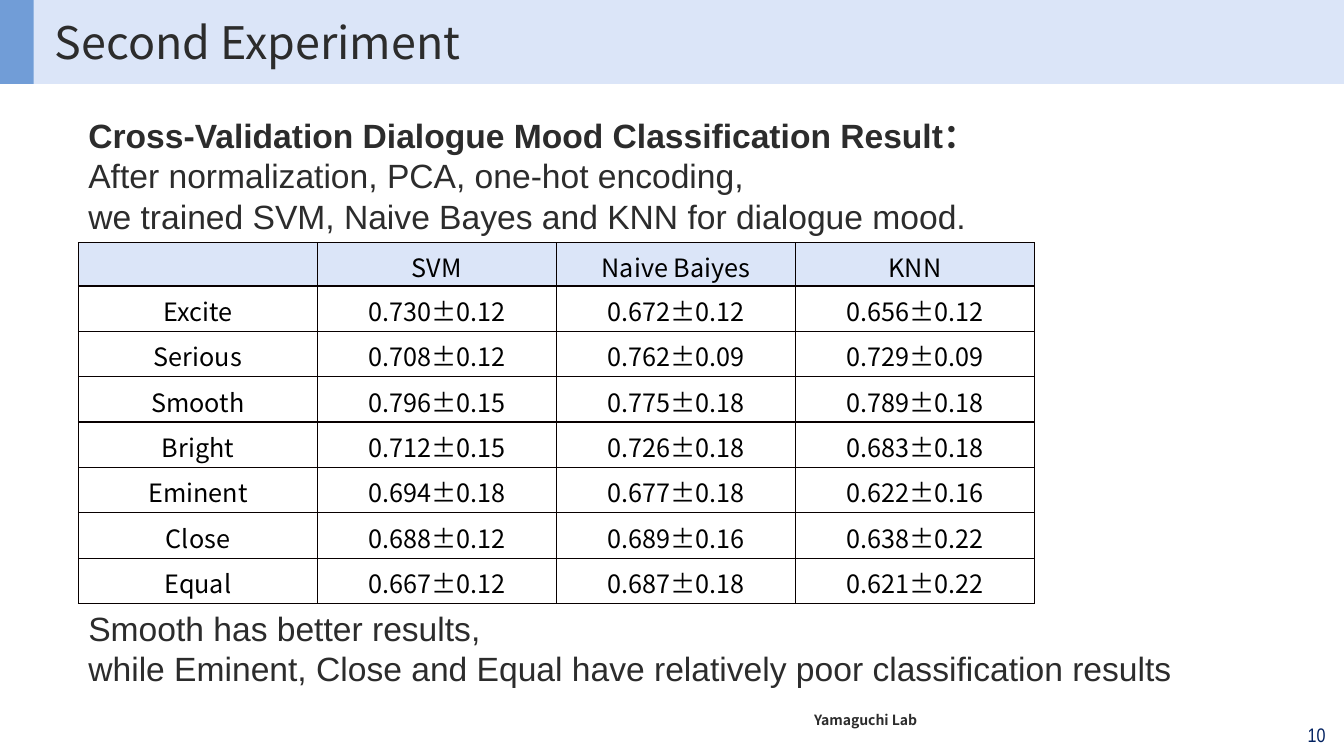
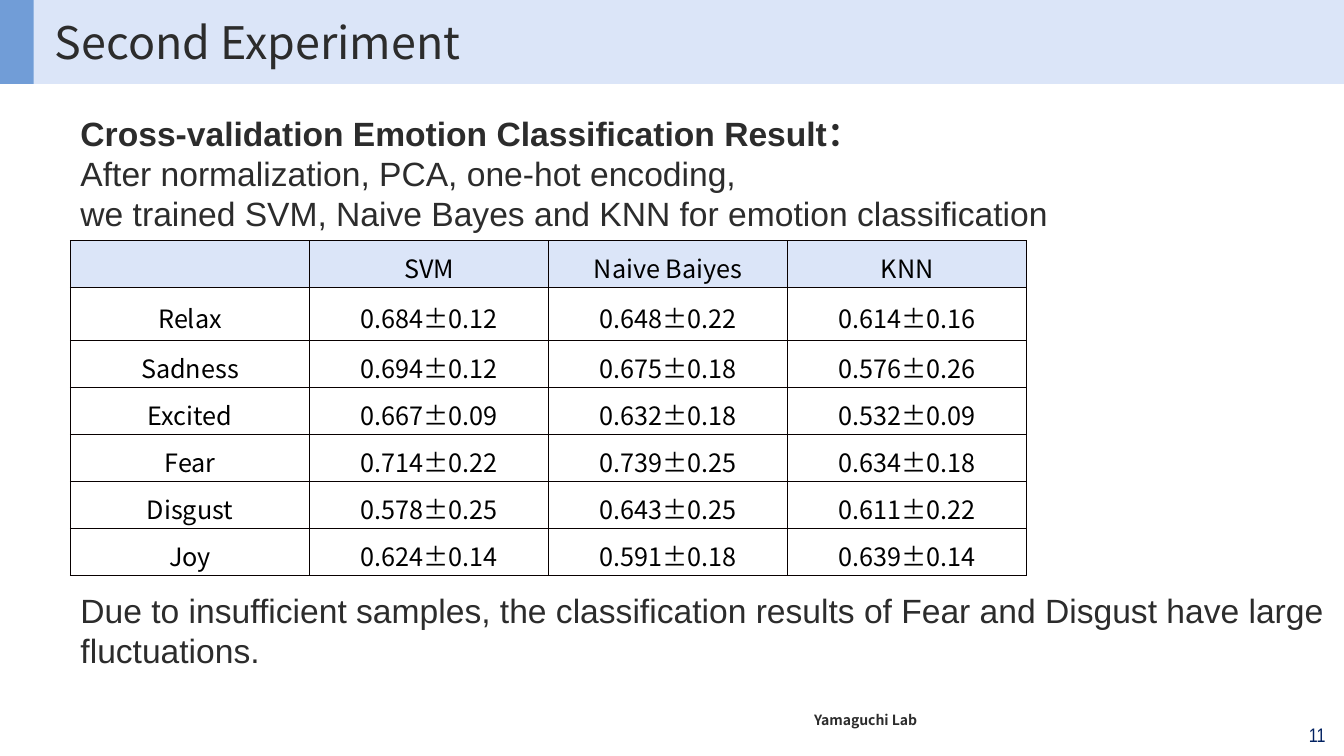
from lxml.etree import SubElement
from pptx import Presentation
from pptx.dml.color import RGBColor as Color
from pptx.enum.shapes import MSO_SHAPE as Shape
from pptx.enum.text import MSO_ANCHOR as Anchor, PP_ALIGN as Align
from pptx.oxml import parse_xml
from pptx.oxml.ns import nsdecls, qn
from pptx.util import Pt

# Shared look
COLORS = {
    "band": "DBE5F8",
    "accent": "719DD7",
    "text": "2C2C2C",
    "number": "002060",
    "cell": "000000",
    "border": "080000",
}
TITLE_FONT = "Noto Sans CJK JP"
TABLE_FONT = "Noto Sans CJK SC"
BODY_FONT = "Arial"
NUMBER_FONT = "Arial Narrow"
WIDTH, HEIGHT, BAND_HEIGHT = 960, 540, 60
COLUMN_WIDTH = 170.75
BODY_WIDTH = 903.6

# Slide contents
MODELS = ["", "SVM", "Naive Baiyes", "KNN"]
MOODS = [
    ["Excite", "0.730±0.12", "0.672±0.12", "0.656±0.12"],
    ["Serious", "0.708±0.12", "0.762±0.09", "0.729±0.09"],
    ["Smooth", "0.796±0.15", "0.775±0.18", "0.789±0.18"],
    ["Bright", "0.712±0.15", "0.726±0.18", "0.683±0.18"],
    ["Eminent", "0.694±0.18", "0.677±0.18", "0.622±0.16"],
    ["Close", "0.688±0.12", "0.689±0.16", "0.638±0.22"],
    ["Equal", "0.667±0.12", "0.687±0.18", "0.621±0.22"],
]
EMOTIONS = [
    ["Relax", "0.684±0.12", "0.648±0.22", "0.614±0.16"],
    ["Sadness", "0.694±0.12", "0.675±0.18", "0.576±0.26"],
    ["Excited", "0.667±0.09", "0.632±0.18", "0.532±0.09"],
    ["Fear", "0.714±0.22", "0.739±0.25", "0.634±0.18"],
    ["Disgust", "0.578±0.25", "0.643±0.25", "0.611±0.22"],
    ["Joy", "0.624±0.14", "0.591±0.18", "0.639±0.14"],
]


def add_span(para, text, font, size, color, bold=False):
    span = para.add_run()
    span.text = text
    span.font.name = font
    span.font.size = Pt(size)
    span.font.bold = bold
    span.font.color.rgb = Color.from_string(COLORS[color])
    # East Asian characters fall back to the table font beside Latin-only fonts
    east_asian = font if "CJK" in font else TABLE_FONT
    SubElement(span.font._element, qn("a:ea")).set("typeface", east_asian)


def add_text(page, left, top, width, height, lines, font, size,
             color="text", bold_lines=0, align=Align.LEFT, anchor=Anchor.TOP):
    box = page.shapes.add_textbox(Pt(left), Pt(top), Pt(width), Pt(height))
    frame = box.text_frame
    frame.word_wrap = True
    frame.vertical_anchor = anchor
    for index, line in enumerate(lines):
        para = frame.add_paragraph() if index else frame.paragraphs[0]
        para.alignment = align
        add_span(para, line, font, size, color, index < bold_lines)


def add_band(page, width, color):
    band = page.shapes.add_shape(Shape.RECTANGLE, 0, 0, Pt(width), Pt(BAND_HEIGHT))
    band.shadow.inherit = False
    band.fill.solid()
    band.fill.fore_color.rgb = Color.from_string(COLORS[color])
    band.line.fill.background()


def add_borders(cell):
    for index, side in enumerate("LRTB"):
        cell._tc.get_or_add_tcPr().insert(index, parse_xml(
            f'<a:ln{side} {nsdecls("a")} w="{Pt(1)}"><a:solidFill>'
            f'<a:srgbClr val="{COLORS["border"]}"/></a:solidFill></a:ln{side}>'))


def fill_cell(cell, text, is_header, spacing):
    if is_header:
        cell.fill.solid()
        cell.fill.fore_color.rgb = Color.from_string(COLORS["band"])
    else:
        cell.fill.background()
    cell.margin_left = cell.margin_right = cell.margin_top = cell.margin_bottom = 0
    cell.vertical_anchor = Anchor.MIDDLE
    add_borders(cell)
    if text:
        para = cell.text_frame.paragraphs[0]
        para.alignment = Align.CENTER
        para.line_spacing = spacing
        add_span(para, text, TABLE_FONT, 18, "cell")


def add_results(page, left, top, rows, heights, spacing):
    rows = [MODELS] + rows
    frame = page.shapes.add_table(len(rows), len(MODELS), Pt(left), Pt(top),
                                  Pt(COLUMN_WIDTH * len(MODELS)), Pt(sum(heights)))
    table = frame.table
    table.first_row = table.horz_banding = False
    for column in table.columns:
        column.width = Pt(COLUMN_WIDTH)
    for r, (values, height) in enumerate(zip(rows, heights)):
        table.rows[r].height = Pt(height)
        for c, value in enumerate(values):
            fill_cell(table.cell(r, c), value, r == 0, spacing)


def add_page(deck, number):
    page = deck.slides.add_slide(deck.slide_layouts[6])
    # Title bands, title, footer and page number
    add_band(page, WIDTH, "band")
    add_band(page, 24, "accent")
    add_text(page, 32, 0, WIDTH - 32, BAND_HEIGHT, ["Second Experiment"],
             TITLE_FONT, 32, anchor=Anchor.MIDDLE)
    add_text(page, 574.5, 504.5, 352, 19.5, ["Yamaguchi Lab"],
             TABLE_FONT, 10, bold_lines=1)
    add_text(page, 874, 512.5, 80, 18, [str(number)], NUMBER_FONT, 14,
             "number", align=Align.RIGHT)
    return page


def main():
    deck = Presentation()
    deck.slide_width, deck.slide_height = Pt(WIDTH), Pt(HEIGHT)

    # Dialogue mood results
    page = add_page(deck, 10)
    add_text(page, 56, 78.5, BODY_WIDTH, 94.5, [
        "Cross-Validation Dialogue Mood Classification Result：",
        "After normalization, PCA, one-hot encoding,",
        "we trained SVM, Naive Bayes and KNN for dialogue mood.",
    ], BODY_FONT, 24, bold_lines=1)
    add_results(page, 56, 173.3, MOODS, [31] + [32.4] * len(MOODS), 1.1)
    add_text(page, 56, 430.5, BODY_WIDTH, 65.5, [
        "Smooth has better results,",
        "while Eminent, Close and Equal have relatively poor classification results",
    ], BODY_FONT, 24)

    # Emotion results
    page = add_page(deck, 11)
    add_text(page, 50.4, 77, BODY_WIDTH, 94.5, [
        "Cross-validation Emotion Classification Result：",
        "After normalization, PCA, one-hot encoding,",
        "we trained SVM, Naive Bayes and KNN for emotion classification",
    ], BODY_FONT, 24, bold_lines=1)
    add_results(page, 50.4, 172, EMOTIONS,
                [33.6, 37.4] + [33.6] * (len(EMOTIONS) - 1), 1.2)
    add_text(page, 50.4, 417.6, BODY_WIDTH, 65.5, [
        "Due to insufficient samples, the classification results of Fear and "
        "Disgust have large fluctuations.",
    ], BODY_FONT, 24)

    deck.save("out.pptx")


if __name__ == "__main__":
    main()
